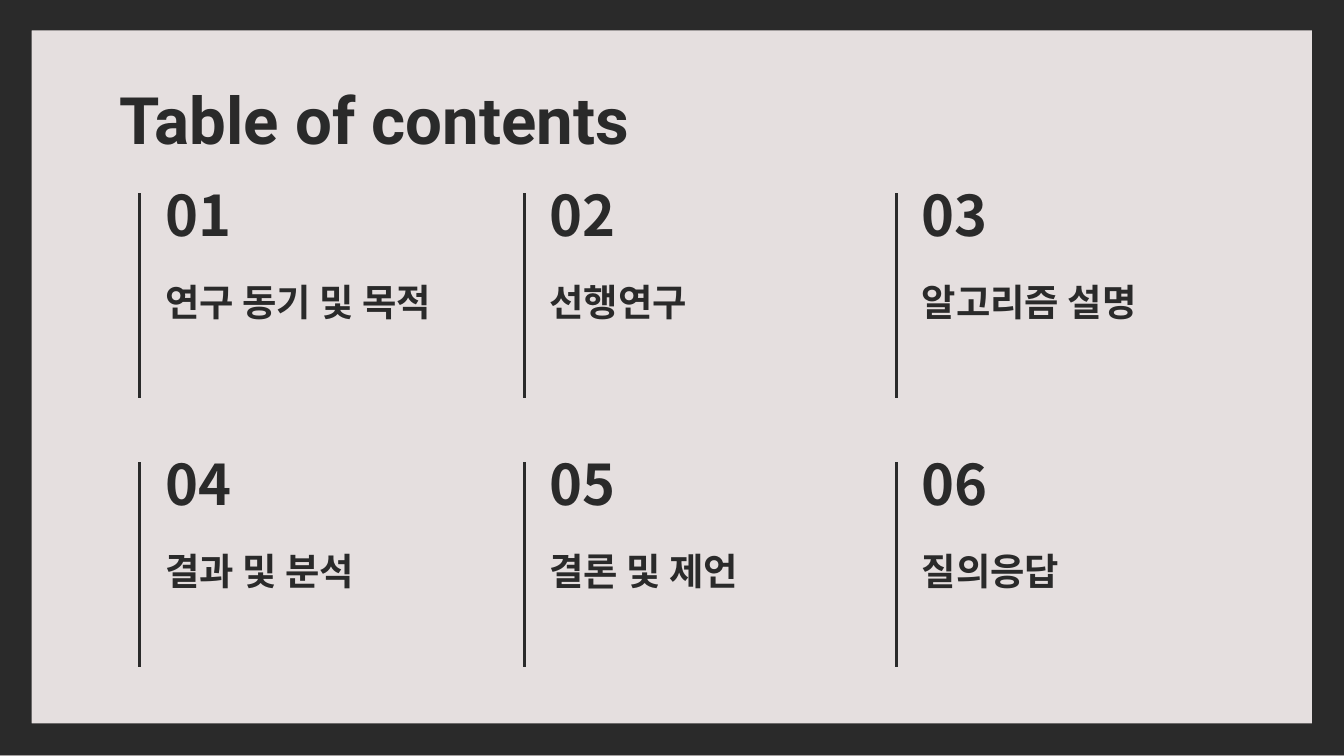
"""Build a table-of-contents slide with six numbered topics."""
from dataclasses import dataclass

from lxml import etree
from pptx import Presentation
from pptx import util as u
from pptx.dml.color import RGBColor
from pptx.enum import shapes, text
from pptx.oxml import ns


@dataclass(frozen=True)
class Theme:
    ink: RGBColor = RGBColor.from_string("2A2A2A")
    paper: RGBColor = RGBColor.from_string("E5DFDF")
    latin: str = "Roboto"
    hangul: str = "Noto Sans CJK KR"
    title: int = 35
    number: int = 30
    topic: int = 20
    rule: float = 1.5


class Deck:
    def __init__(self, slide, theme):
        self.slide = slide
        self.theme = theme
        back = slide.background.fill
        back.solid()
        back.fore_color.rgb = theme.paper

    def frame(self, left, top, width, height, thick):
        box = self.slide.shapes.add_shape(
            shapes.MSO_SHAPE.FRAME, *map(u.Inches, (left, top, width, height)))
        box.adjustments[0] = thick
        box.shadow.inherit = False
        box.fill.solid()
        box.fill.fore_color.rgb = self.theme.ink
        box.line.fill.background()

    def label(self, words, left, top, width, height, size, font,
              anchor=text.MSO_ANCHOR.TOP, space=1.0):
        box = self.slide.shapes.add_textbox(
            *map(u.Inches, (left, top, width, height)))
        body = box.text_frame
        body.word_wrap = True
        body.vertical_anchor = anchor
        body.margin_left = body.margin_right = u.Inches(0.1)
        body.margin_top = body.margin_bottom = u.Inches(0.1)
        para = body.paragraphs[0]
        para.line_spacing = space
        run = para.add_run()
        run.text = words
        run.font.size = u.Pt(size)
        run.font.bold = True
        run.font.color.rgb = self.theme.ink
        run.font.name = font
        etree.SubElement(run.font._element, ns.qn("a:ea"), typeface=font)

    def rule(self, left, top, height):
        line = self.slide.shapes.add_connector(
            shapes.MSO_CONNECTOR.STRAIGHT,
            *map(u.Inches, (left, top, left, top + height)))
        line.line.color.rgb = self.theme.ink
        line.line.width = u.Pt(self.theme.rule)
        etree.SubElement(line._element.spPr, ns.qn("a:effectLst"))

    def entry(self, number, topic, left, top):
        look = self.theme
        self.rule(left - 0.09, top + 0.09, 1.52)
        self.label(f"{number:02}", left, top, 0.8, 0.49, look.number,
                   look.hangul, text.MSO_ANCHOR.MIDDLE)
        self.label(topic, left, top + 0.63, 2.37, 0.53, look.topic,
                   look.hangul, text.MSO_ANCHOR.BOTTOM, 1.15)


TOPICS = ("연구 동기 및 목적", "선행연구", "알고리즘 설명",
          "결과 및 분석", "결론 및 제언", "질의응답")
LEFTS = (1.13, 3.99, 6.76)
TOPS = (1.35, 3.35)


def main():
    show = Presentation()
    show.slide_width = u.Inches(10)
    show.slide_height = u.Emu(show.slide_width * 9 // 16)
    theme = Theme()
    deck = Deck(show.slides.add_slide(show.slide_layouts[6]), theme)
    deck.frame(0, -0.01, 10, 5.63, 0.042)
    deck.label("Table of contents", 0.79, 0.49, 8.43, 0.63,
               theme.title, theme.latin)
    for index, topic in enumerate(TOPICS):
        row, col = divmod(index, len(LEFTS))
        deck.entry(index + 1, topic, LEFTS[col], TOPS[row])
    show.save("out.pptx")


if __name__ == "__main__":
    main()
